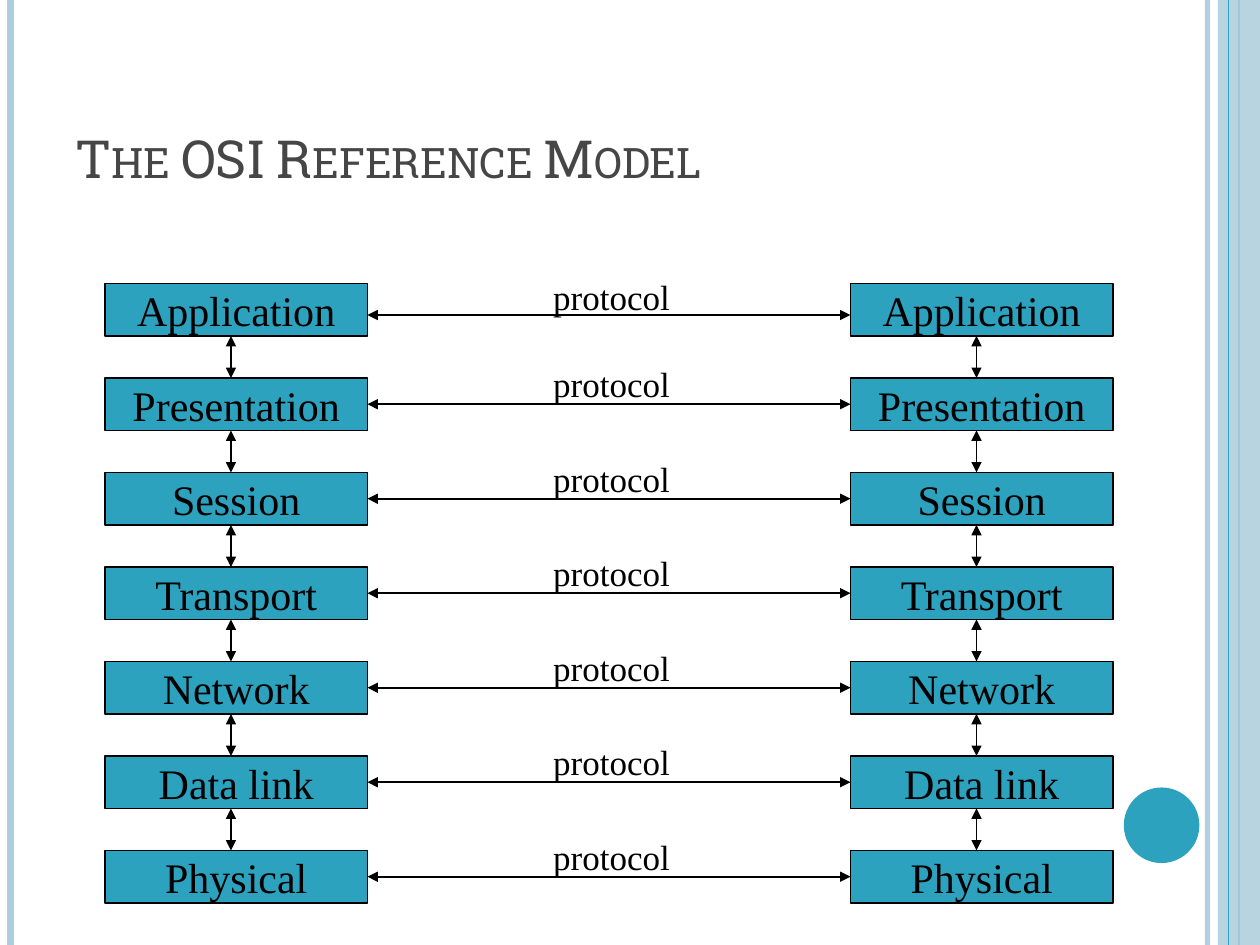
from pptx import Presentation
from pptx.dml.color import RGBColor
from pptx.enum.shapes import MSO_CONNECTOR, MSO_SHAPE
from pptx.enum.text import MSO_ANCHOR, MSO_AUTO_SIZE, PP_ALIGN
from pptx.oxml.ns import qn
from pptx.util import Pt
from lxml.etree import SubElement

TEAL, PALE, BLACK = "2DA2BF", "ADCEDC", "000000"
LAYERS = ["Application", "Presentation", "Session", "Transport",
          "Network", "Data link", "Physical"]
LEFT_STACK, RIGHT_STACK = 60, 486
BOX_WIDTH, BOX_HEIGHT, STEP, FIRST_TOP = 150, 30, 54, 162


def paint(color_format, color, opacity=100):
    color_format.rgb = RGBColor.from_string(color)
    if opacity < 100:
        color_node = color_format._xFill.find(qn("a:srgbClr"))
        SubElement(color_node, qn("a:alpha"), val=str(opacity * 1000))


def add_line(start, end, color, width, opacity=100, arrows=False):
    line = page.shapes.add_connector(
        MSO_CONNECTOR.STRAIGHT, *[Pt(value) for value in (*start, *end)])
    line.line.width = Pt(width)
    line.line.fill.solid()
    paint(line.line.fill.fore_color, color, opacity)
    if arrows:
        outline = line.line._get_or_add_ln()
        for arrow_end in ("a:headEnd", "a:tailEnd"):
            SubElement(outline, qn(arrow_end), type="triangle")
    SubElement(line._element.spPr, qn("a:effectLst"))
    return line


deck = Presentation()
deck.slide_width, deck.slide_height = Pt(720), Pt(540)
page = deck.slides.add_slide(deck.slide_layouts[5])

# Edge stripes, with the pale band between the two thin lines
for x, color, width, opacity in [(690, PALE, 3, 93), (6, PALE, 4.5, 100),
                                 (708, TEAL, 1.5, 100)]:
    add_line((x, 0), (x, 540), color, width, opacity)
band = page.shapes.add_shape(MSO_SHAPE.RECTANGLE, Pt(696), 0, Pt(24), Pt(540))
add_line((702, 0), (702, 540), TEAL, 0.75)

# Corner disc
disc = page.shapes.add_shape(MSO_SHAPE.OVAL, Pt(642.2), Pt(450), Pt(43.2), Pt(43.2))
for shape, color, opacity in [(band, PALE, 87), (disc, TEAL, 100)]:
    shape.shadow.inherit = False
    shape.line.fill.background()
    shape.fill.solid()
    paint(shape.fill.fore_color, color, opacity)

# Title
title = page.shapes.title
for name, value in {"left": 36, "top": 21.6, "width": 588, "height": 90}.items():
    setattr(title, name, Pt(value))
frame = title.text_frame
for name, value in {"text": "The OSI Reference Model", "word_wrap": True,
                    "auto_size": MSO_AUTO_SIZE.NONE,
                    "vertical_anchor": MSO_ANCHOR.BOTTOM}.items():
    setattr(frame, name, value)
para = frame.paragraphs[0]
para.alignment = PP_ALIGN.LEFT
span = para.runs[0]
for name, value in {"name": "Roboto Slab", "size": Pt(30)}.items():
    setattr(span.font, name, value)
paint(span.font.color, "464646")
span.font._element.set("cap", "small")

# Layer boxes, one stack for each host
stacks = []
texts = []
for left in (LEFT_STACK, RIGHT_STACK):
    stack = []
    for row, layer in enumerate(LAYERS):
        box = page.shapes.add_shape(
            MSO_SHAPE.RECTANGLE, Pt(left), Pt(FIRST_TOP + row * STEP),
            Pt(BOX_WIDTH), Pt(BOX_HEIGHT))
        box.shadow.inherit = False
        box.fill.solid()
        paint(box.fill.fore_color, TEAL)
        box.line.width = Pt(0.75)
        paint(box.line.color, BLACK)
        box.text_frame.vertical_anchor = MSO_ANCHOR.MIDDLE
        texts.append((box, layer, 24, PP_ALIGN.CENTER))
        stack.append(box)
    stacks.append(stack)

# Arrows between neighbouring layers, slightly left of the box centre
for left in (LEFT_STACK, RIGHT_STACK):
    for row in range(len(LAYERS) - 1):
        bottom = FIRST_TOP + row * STEP + BOX_HEIGHT
        add_line((left + 72, bottom), (left + 72, FIRST_TOP + (row + 1) * STEP),
                 BLACK, 1, arrows=True)

# Protocol arrows between peers; the first one sits below the box middle
for row, (left_box, right_box) in enumerate(zip(*stacks)):
    drop, lift = (18, 26) if row == 0 else (BOX_HEIGHT / 2, 27.2)
    y = FIRST_TOP + row * STEP + drop
    arrow = add_line((RIGHT_STACK, y), (LEFT_STACK + BOX_WIDTH, y),
                     BLACK, 1, arrows=True)
    if row > 0:
        arrow.begin_connect(right_box, 1)
        arrow.end_connect(left_box, 3)
    label = page.shapes.add_textbox(Pt(309), Pt(y - lift), Pt(83), Pt(31))
    label.text_frame.auto_size = MSO_AUTO_SIZE.SHAPE_TO_FIT_TEXT
    texts.append((label, "protocol", 20, PP_ALIGN.LEFT))

# Wording of boxes and labels
for shape, wording, size, alignment in texts:
    shape.text_frame.word_wrap = False
    para = shape.text_frame.paragraphs[0]
    para.alignment = alignment
    span = para.add_run()
    span.text = wording
    for name, value in {"name": "Times New Roman", "size": Pt(size)}.items():
        setattr(span.font, name, value)
    paint(span.font.color, BLACK)

deck.save("out.pptx")
